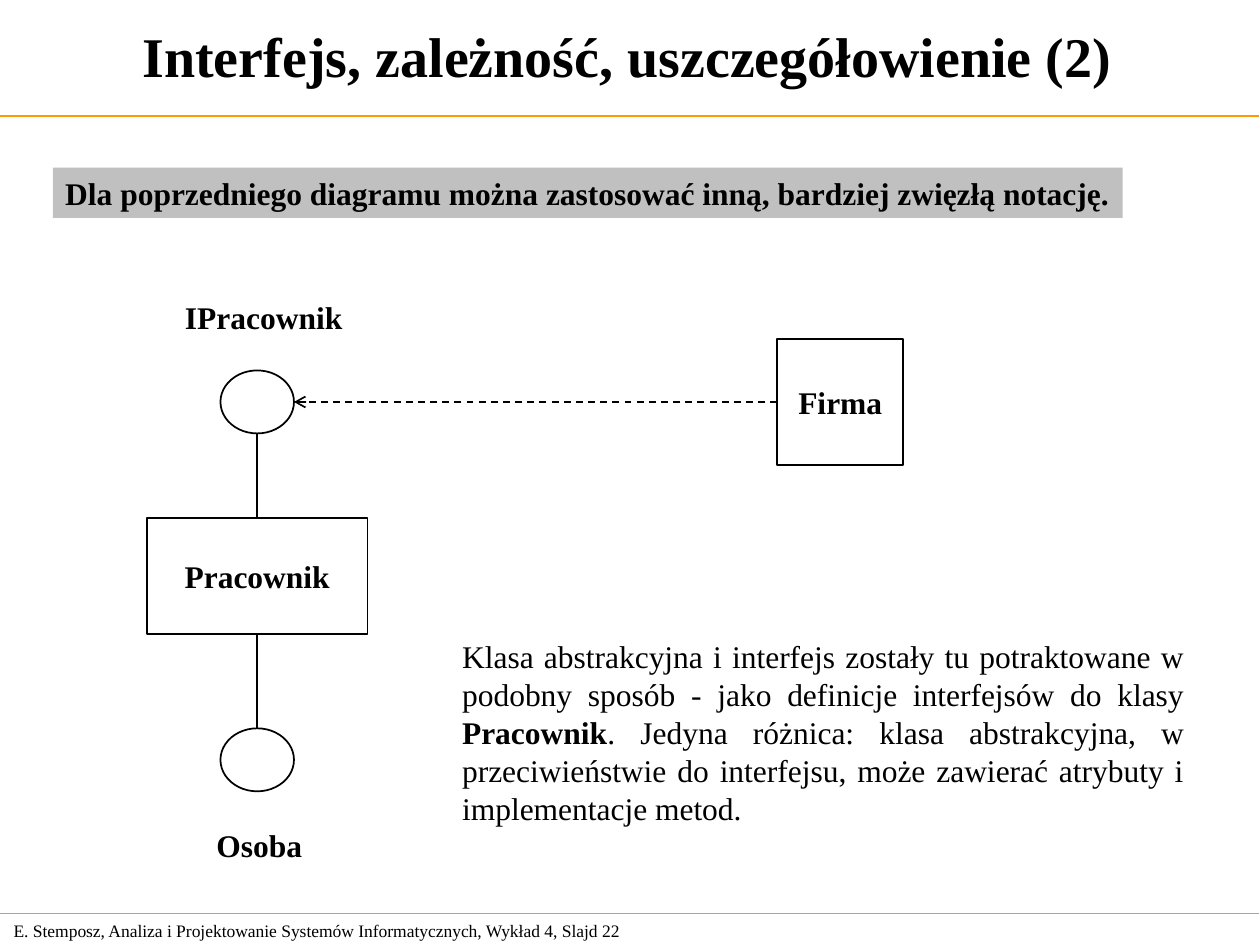
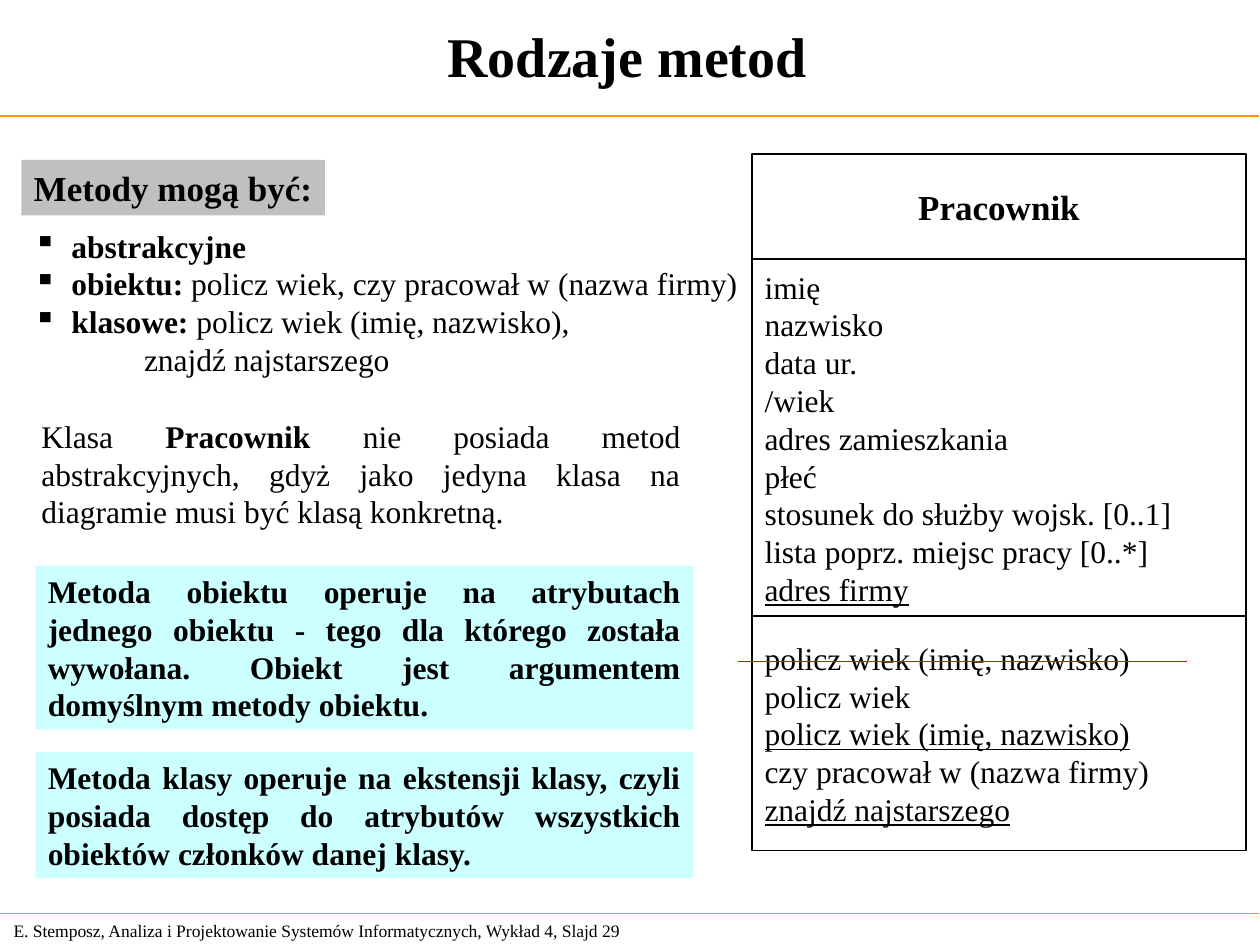
from dataclasses import dataclass

from lxml import etree
from pptx import Presentation
from pptx import util as u
from pptx.dml.color import RGBColor
from pptx.enum import dml, shapes, text
from pptx.oxml import ns

Pt = u.Pt


@dataclass(frozen=True)
class Theme:
    font: str = "Times New Roman"
    ink: str = "000000"
    rule: str = "FF9900"
    heading_fill: str = "C0C0C0"
    note_fill: str = "CCFFFF"
    strike: str = "FF0000"
    title_size: int = 32
    heading_size: int = 20
    body_size: int = 18
    footer_size: int = 10


THEME = Theme()
LEFT, CENTER, JUSTIFY = text.PP_ALIGN.LEFT, text.PP_ALIGN.CENTER, text.PP_ALIGN.JUSTIFY
RECT, OVAL = shapes.MSO_SHAPE.RECTANGLE, shapes.MSO_SHAPE.OVAL

# Content: a paragraph is a string or a list of (run, style); style is "", "b" or "u"
FOOTER = "E. Stemposz, Analiza i Projektowanie Systemów Informatycznych, Wykład 4, Slajd {}"

INTERFACE = {
    "title": "Interfejs, zależność, uszczegółowienie (2)",
    "number": 22,
    "heading": "Dla poprzedniego diagramu można zastosować inną, bardziej zwięzłą notację.",
    "interface": "IPracownik",
    "class": "Pracownik",
    "abstract": "Osoba",
    "client": "Firma",
    "remark": [
        ("Klasa abstrakcyjna i interfejs zostały tu potraktowane w podobny sposób"
         " - jako definicje interfejsów do klasy ", ""),
        ("Pracownik", "b"),
        (". Jedyna różnica: klasa abstrakcyjna, w przeciwieństwie do interfejsu,"
         " może zawierać atrybuty i implementacje metod.", ""),
    ],
}

METHODS = {
    "title": "Rodzaje metod",
    "number": 29,
    "heading": "Metody mogą być:",
    "kinds": [
        [("abstrakcyjne", "b")],
        [("obiektu: ", "b"), ("policz wiek, czy pracował w (nazwa firmy)", "")],
        [("klasowe: ", "b"), ("policz wiek (imię, nazwisko),", "")],
    ],
    "kinds_tail": "znajdź najstarszego",
    "remark": [
        ("Klasa ", ""), ("Pracownik ", "b"),
        ("nie posiada metod abstrakcyjnych, gdyż jako jedyna klasa na diagramie"
         " musi być klasą konkretną.", ""),
    ],
    # top, height, wording
    "notes": [
        (323.3, 93.6, "Metoda obiektu operuje na atrybutach jednego obiektu - tego dla którego"
         " została wywołana. Obiekt jest argumentem domyślnym metody obiektu."),
        (429.8, 72, "Metoda klasy operuje na ekstensji klasy, czyli posiada dostęp do atrybutów"
         " wszystkich obiektów członków danej klasy."),
    ],
    "class": "Pracownik",
    "attributes": [
        "imię", "nazwisko", "data ur.", "/wiek", "adres zamieszkania", "płeć",
        "stosunek do służby wojsk. [0..1]", "lista poprz. miejsc pracy [0..*]",
        [("adres firmy", "u")],
    ],
    "operations": [
        "policz wiek (imię, nazwisko)", "policz wiek",
        [("policz wiek (imię, nazwisko)", "u")],
        "czy pracował w (nazwa firmy)", [("znajdź najstarszego", "u")],
    ],
}


# Building blocks
def color(value):
    return RGBColor.from_string(value)


def points(*lengths):
    return [Pt(length) for length in lengths]


def add_bullet(paragraph, mark, hang):
    props = paragraph._p.get_or_add_pPr()
    props.set("marL", str(Pt(hang)))
    props.set("indent", str(-Pt(hang)))
    etree.SubElement(props, ns.qn("a:buChar")).set("char", mark)


def write(shape, paragraphs, size=THEME.body_size, bold=False, align=LEFT,
          middle=False, wrap=True, bullet=None):
    frame = shape.text_frame
    frame.word_wrap = wrap
    frame.auto_size = text.MSO_AUTO_SIZE.NONE
    frame.vertical_anchor = text.MSO_ANCHOR.MIDDLE if middle else text.MSO_ANCHOR.TOP
    for index, runs in enumerate(paragraphs):
        paragraph = frame.paragraphs[0] if index == 0 else frame.add_paragraph()
        paragraph.alignment = align
        if bullet:
            add_bullet(paragraph, *bullet)
        font = paragraph.font
        font.name, font.size, font.bold = THEME.font, Pt(size), bold
        font.color.rgb = color(THEME.ink)
        for wording, style in [(runs, "")] if isinstance(runs, str) else runs:
            run = paragraph.add_run()
            run.text = wording
            if style == "b":
                run.font.bold = True
            elif style == "u":
                run.font.underline = True
    return frame


def add_text(slide, box, paragraphs, **style):
    return write(slide.shapes.add_textbox(*points(*box)), paragraphs, **style)


def add_figure(slide, kind, box, fill=None, outline=True):
    figure = slide.shapes.add_shape(kind, *points(*box))
    figure.shadow.inherit = False
    if fill:
        figure.fill.solid()
        figure.fill.fore_color.rgb = color(fill)
    else:
        figure.fill.background()
    if outline:
        figure.line.color.rgb = color(THEME.ink)
        figure.line.width = Pt(1)
    else:
        figure.line.fill.background()
    return figure


def add_line(slide, start, end, tint=THEME.ink, width=1, dashed_arrow=False):
    link = slide.shapes.add_connector(shapes.MSO_CONNECTOR.STRAIGHT, *points(*start, *end))
    link.line.color.rgb = color(tint)
    link.line.width = Pt(width)
    if dashed_arrow:
        link.line.dash_style = dml.MSO_LINE.DASH
        etree.SubElement(link.line._get_or_add_ln(), ns.qn("a:tailEnd")).set("type", "arrow")
    etree.SubElement(link._element.spPr, ns.qn("a:effectLst"))


def add_heading(slide, box, wording, size):
    write(add_figure(slide, RECT, box, THEME.heading_fill, outline=False), [wording],
          size=size, bold=True, wrap=False)


def start_slide(deck, content):
    """Title, both rules and the footer."""
    slide = deck.slides.add_slide(deck.slide_layouts[5])
    title = slide.shapes.title
    title.left, title.top, title.width, title.height = points(0, 0.7, 717, 61.2)
    write(title, [content["title"]], size=THEME.title_size, bold=True, align=CENTER, middle=True)
    for top, width in ((66.2, 1), (522, 0.75)):
        add_line(slide, (-0.5, top), (719.5, top), THEME.rule, width)
    add_text(slide, (0.7, 522, 377.3, 19.4), [FOOTER.format(content["number"])],
             size=THEME.footer_size, middle=True)
    return slide


# Slide: interface notation
def build_interface(deck):
    content = INTERFACE
    slide = start_slide(deck, content)
    add_heading(slide, (30.2, 95.8, 611.3, 28.8), content["heading"], THEME.body_size)

    axis, ball_w, ball_h = 147, 42, 36
    interface_top, abstract_top = 211.7, 416.2
    class_w, class_top, class_h = 126, 296, 66.2
    client_left, client_side = 444.2, 72
    arrow_y = interface_top + ball_h / 2

    class_boxes = (
        (content["class"], (axis - class_w / 2, class_top, class_w, class_h)),
        (content["client"], (client_left, arrow_y - client_side / 2, client_side, client_side)),
    )
    for name, box in class_boxes:
        write(add_figure(slide, RECT, box), [name], bold=True, align=CENTER,
              middle=True, wrap=False)
    for top in (interface_top, abstract_top):
        add_figure(slide, OVAL, (axis - ball_w / 2, top, ball_w, ball_h))
    for top, bottom in ((interface_top + ball_h, class_top), (class_top + class_h, abstract_top)):
        add_line(slide, (axis, top), (axis, bottom))
    add_line(slide, (client_left, arrow_y), (axis + ball_w / 2, arrow_y), dashed_arrow=True)

    for name, box in ((content["interface"], (98.6, 167, 104.4, 28.8)),
                      (content["abstract"], (116.6, 468.7, 63.4, 28.8))):
        add_text(slide, box, [name], bold=True, wrap=False)
    add_text(slide, (257, 360.7, 427, 115.2), [content["remark"]], align=JUSTIFY)


# Slide: kinds of methods
def build_methods(deck):
    content = METHODS
    slide = start_slide(deck, content)
    add_heading(slide, (12.2, 91.4, 173.5, 31.7), content["heading"], THEME.heading_size)

    kinds = add_text(slide, (12.2, 126, 416.9, 93.6), content["kinds"], bullet=("▪", 21.5))
    tail = kinds.add_paragraph()
    tail.text = content["kinds_tail"]
    tail._p.get_or_add_pPr().set("marL", str(Pt(63)))
    tail.font.name, tail.font.size = THEME.font, Pt(THEME.body_size)
    tail.font.color.rgb = color(THEME.ink)

    add_text(slide, (16.6, 234.7, 379.4, 72), [content["remark"]], align=JUSTIFY)
    for top, height, wording in content["notes"]:
        note = add_figure(slide, RECT, (20.2, top, 375.8, height), THEME.note_fill, outline=False)
        write(note, [wording], bold=True, align=JUSTIFY)

    # Class box: name, attributes and operations stacked without gaps
    left, width, top = 429.8, 282.2, 88
    compartments = (
        (60.2, [content["class"]],
         {"size": THEME.heading_size, "bold": True, "align": CENTER}),
        (203.9, content["attributes"], {}),
        (133.9, content["operations"], {}),
    )
    for height, lines, style in compartments:
        write(add_figure(slide, RECT, (left, top, width, height)), lines, middle=True, **style)
        top += height
    add_line(slide, (422, 378), (678.2, 378), THEME.strike)


def main():
    deck = Presentation()
    deck.slide_width, deck.slide_height = points(720, 540)
    build_interface(deck)
    build_methods(deck)
    deck.save("out.pptx")


if __name__ == "__main__":
    main()
